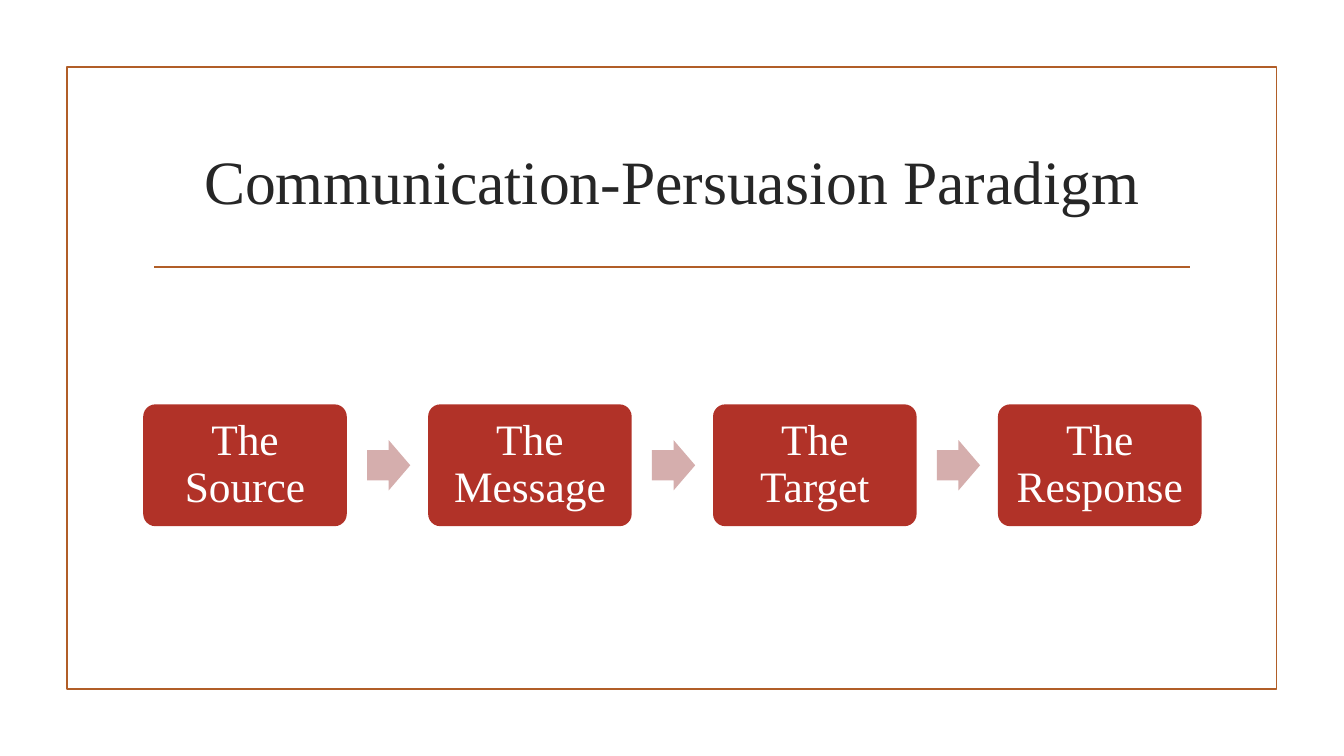
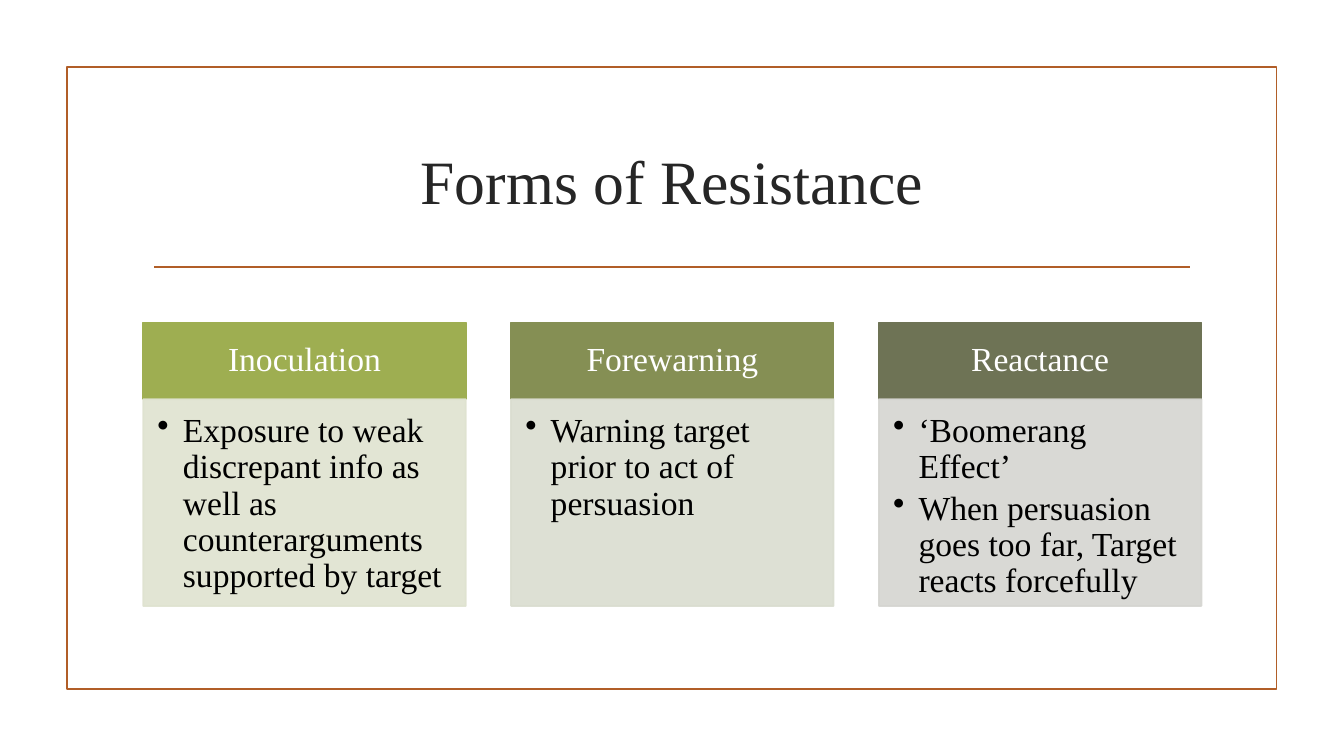
from lxml import etree
from pptx import Presentation
from pptx.dml.color import RGBColor
from pptx.enum.shapes import MSO_CONNECTOR, MSO_SHAPE
from pptx.enum.text import MSO_ANCHOR, PP_ALIGN
from pptx.oxml.ns import qn
from pptx.util import Cm, Pt

FONT = "Times New Roman"
RUST = RGBColor(0xB1, 0x5E, 0x28)
INK = RGBColor(0x26, 0x26, 0x26)
BLACK = RGBColor(0x00, 0x00, 0x00)
WHITE = RGBColor(0xFF, 0xFF, 0xFF)
RED = RGBColor(0xB1, 0x32, 0x28)
PINK = RGBColor(0xD5, 0xAE, 0xAD)
LIME, PALE_LIME = RGBColor(0x9E, 0xAE, 0x51), RGBColor(0xDF, 0xE3, 0xD0)
OLIVE, PALE_OLIVE = RGBColor(0x85, 0x8F, 0x54), RGBColor(0xDA, 0xDD, 0xD0)
MOSS, PALE_MOSS = RGBColor(0x6E, 0x73, 0x55), RGBColor(0xD5, 0xD5, 0xD1)

LINE_WIDTH = Pt(1.25)
CONTENT_LEFT, CONTENT_WIDTH = 3.61, 26.67

STEPS = ["The Source", "The Message", "The Target", "The Response"]
COLUMNS = [
    ("Inoculation", LIME, PALE_LIME,
     ["Exposure to weak discrepant info as well as counterarguments supported by target"]),
    ("Forewarning", OLIVE, PALE_OLIVE,
     ["Warning target prior to act of persuasion"]),
    ("Reactance", MOSS, PALE_MOSS,
     ["‘Boomerang Effect’", "When persuasion goes too far, Target reacts forcefully"]),
]


def add_block(slide, kind, left, top, width, height, fill=None, line=None):
    shape = slide.shapes.add_shape(kind, Cm(left), Cm(top), Cm(width), Cm(height))
    shape.shadow.inherit = False
    if fill is None:
        shape.fill.background()
    else:
        shape.fill.solid()
        shape.fill.fore_color.rgb = fill
    if line is None:
        shape.line.fill.background()
    else:
        shape.line.color.rgb = line
        shape.line.width = LINE_WIDTH
    return shape


def set_opacity(shape, percent):
    """Apply one opacity to both fill and outline."""
    for color in shape._element.spPr.iter(qn("a:srgbClr")):
        etree.SubElement(color, qn("a:alpha")).set("val", str(percent * 1000))


def add_bullet(paragraph):
    properties = paragraph._p.get_or_add_pPr()
    indent = Cm(0.64)
    properties.set("marL", str(indent))
    properties.set("indent", str(-indent))
    etree.SubElement(properties, qn("a:buChar")).set("char", "•")


def write_text(shape, lines, size, color, insets, anchor=MSO_ANCHOR.MIDDLE,
               line_spacing=0.9, bulleted=False):
    """Fill a shape with paragraphs; insets are left, top, right, bottom in cm."""
    frame = shape.text_frame
    frame.word_wrap = True
    frame.vertical_anchor = anchor
    (frame.margin_left, frame.margin_top,
     frame.margin_right, frame.margin_bottom) = map(Cm, insets)
    for index, line in enumerate(lines):
        paragraph = frame.add_paragraph() if index else frame.paragraphs[0]
        paragraph.alignment = PP_ALIGN.LEFT if bulleted else PP_ALIGN.CENTER
        paragraph.line_spacing = line_spacing
        if bulleted:
            paragraph.space_after = Pt(3.6)
            add_bullet(paragraph)
        run = paragraph.add_run()
        run.text = line
        run.font.name = FONT
        run.font.size = Pt(size)
        run.font.color.rgb = color


def add_titled_slide(presentation, title):
    """Add a slide with the shared frame, title and rule."""
    slide = presentation.slides.add_slide(presentation.slide_layouts[6])
    add_block(slide, MSO_SHAPE.RECTANGLE, 1.69, 1.69, 30.48, 15.67, line=RUST)
    rule = slide.shapes.add_connector(
        MSO_CONNECTOR.STRAIGHT, Cm(3.89), Cm(6.73), Cm(30), Cm(6.73))
    rule.line.color.rgb = RUST
    rule.line.width = LINE_WIDTH
    etree.SubElement(rule._element.spPr, qn("a:effectLst"))
    title_box = slide.shapes.add_textbox(
        Cm(CONTENT_LEFT), Cm(2.72), Cm(CONTENT_WIDTH), Cm(3.63))
    write_text(title_box, [title], 44, INK, (0.25, 0.13, 0.25, 0.13), line_spacing=1)
    return slide


def add_process(slide, steps):
    top, width, height = 10.19, 5.13, 3.07
    arrow_offset, arrow_width, arrow_height = 5.64, 1.09, 1.27
    pitch = (CONTENT_WIDTH - width) / (len(steps) - 1)
    for index, step in enumerate(steps):
        left = CONTENT_LEFT + index * pitch
        if index:
            arrow = add_block(slide, MSO_SHAPE.RIGHT_ARROW, left - pitch + arrow_offset,
                              top + (height - arrow_height) / 2,
                              arrow_width, arrow_height, PINK)
            arrow.adjustments[0] = 0.6
        box = add_block(slide, MSO_SHAPE.ROUNDED_RECTANGLE, left, top, width, height, RED)
        box.adjustments[0] = 0.1
        write_text(box, [step], 31, WHITE, (0.33,) * 4)


def add_columns(slide, columns):
    top, width, head_height, body_height = 8.13, 8.13, 1.93, 5.21
    pitch = (CONTENT_WIDTH - width) / (len(columns) - 1)
    for index, (heading, color, pale_color, points) in enumerate(columns):
        left = CONTENT_LEFT + index * pitch
        head = add_block(slide, MSO_SHAPE.RECTANGLE, left, top, width, head_height,
                         color, color)
        write_text(head, [heading], 24, WHITE, (0.48, 0.28, 0.48, 0.28))
        body = add_block(slide, MSO_SHAPE.RECTANGLE, left, top + head_height,
                         width, body_height, pale_color, pale_color)
        set_opacity(body, 90)
        write_text(body, points, 24, BLACK, (0.36, 0.36, 0.48, 0.53),
                   anchor=MSO_ANCHOR.TOP, bulleted=True)


def main():
    presentation = Presentation()
    presentation.slide_width = Cm(33.87)
    presentation.slide_height = Cm(19.05)
    add_process(add_titled_slide(presentation, "Communication-Persuasion Paradigm"), STEPS)
    add_columns(add_titled_slide(presentation, "Forms of Resistance"), COLUMNS)
    presentation.save("out.pptx")


if __name__ == "__main__":
    main()
